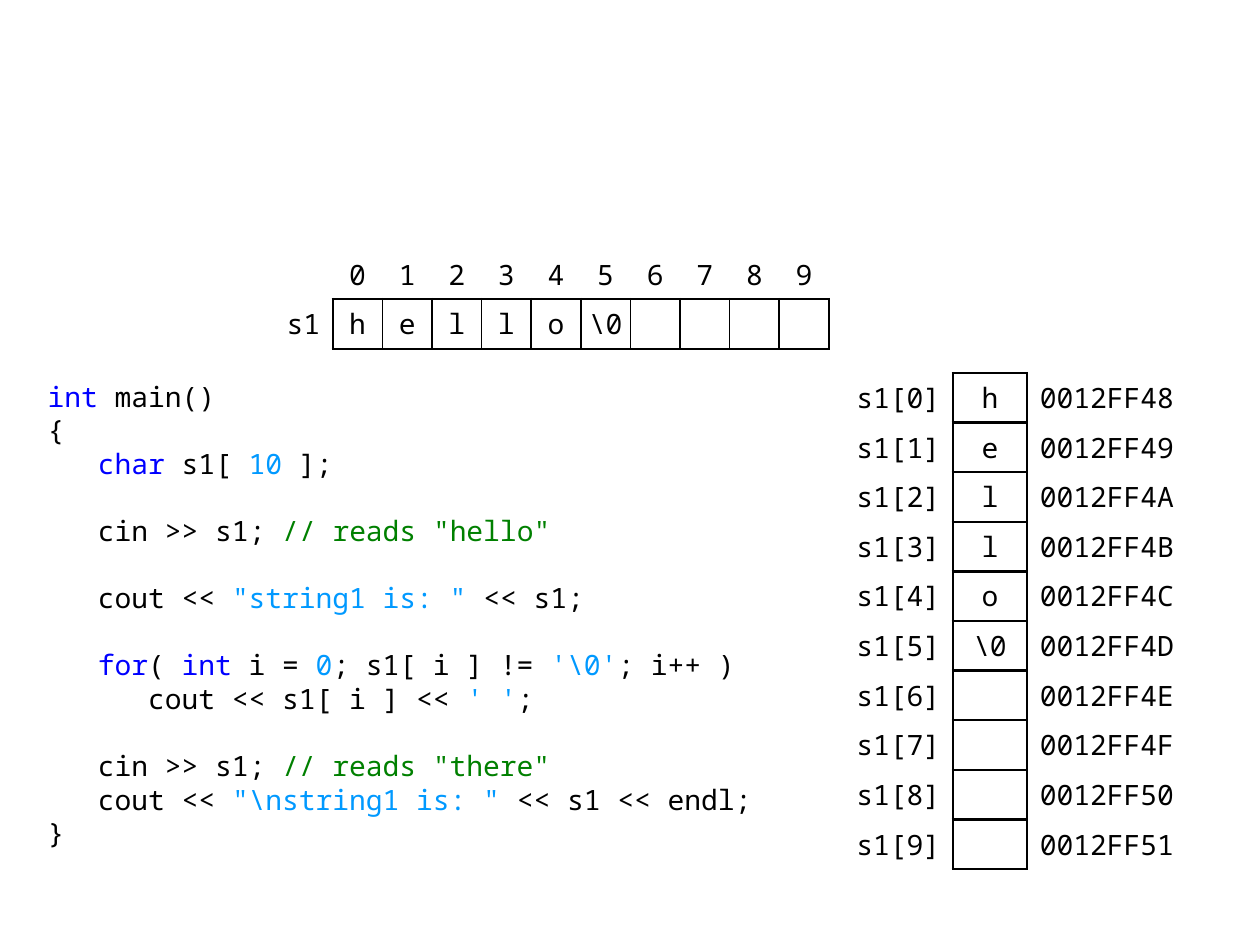
from lxml import etree
from pptx import Presentation
from pptx.dml.color import RGBColor
from pptx.enum.text import MSO_ANCHOR, PP_ALIGN
from pptx.oxml.ns import qn
from pptx.util import Inches, Pt

LEFT, MID, RIGHT = PP_ALIGN.LEFT, PP_ALIGN.CENTER, PP_ALIGN.RIGHT
CENTER = MSO_ANCHOR.MIDDLE
FONT, SIZE = "Noto Sans Mono", 16
BLACK, WHITE = "000000", "FFFFFF"
BLUE, SKY, GREEN = "0000FF", "0099FF", "008000"
UNIT = 3.94 / 10
THICK, THIN = 1.5, 1
CHARS = ["h", "e", "l", "l", "o", r"\0", "", "", "", ""]
BASE = 0x12FF48

CODE = [
    [("int", BLUE), (" main()", BLACK)],
    [("{", BLACK)],
    [("   ", BLACK), ("char", BLUE), (" s1[ ", BLACK), ("10", SKY), (" ];", BLACK)],
    [("  ", BLACK)],
    [("   cin >> s1;", BLACK), (' // reads "hello"', GREEN)],
    [("  ", BLACK)],
    [("   cout << ", BLACK), ('"string1 is: "', SKY), (" << s1;", BLACK)],
    [("  ", BLACK)],
    [("   ", BLACK), ("for", BLUE), ("( ", BLACK), ("int", BLUE), (" i = ", BLACK),
     ("0", SKY), ("; s1[ i ] != ", BLACK), (r"'\0'", SKY), ("; i++ )", BLACK)],
    [("      cout << s1[ i ] << ", BLACK), ("' '", SKY), (";", BLACK)],
    [("  ", BLACK)],
    [("   cin >> s1; ", BLACK), ('// reads "there"', GREEN)],
    [("   cout << ", BLACK), (r'"\nstring1 is: " ', SKY), ("<< s1 << endl;", BLACK)],
    [("}", BLACK)],
]


def color(text):
    return RGBColor.from_string(text)


def style(run, tint=BLACK):
    run.font.name = FONT
    run.font.size = Pt(SIZE)
    run.font.color.rgb = color(tint)


def edge(cell, sides):
    props = cell._tc.get_or_add_tcPr()
    for side in "LRTB":
        line = etree.SubElement(props, qn("a:ln" + side))
        if side in sides:
            line.set("w", str(Pt(sides[side])))
            fill = etree.SubElement(line, qn("a:solidFill"))
            etree.SubElement(fill, qn("a:srgbClr"), val=BLACK)
        else:
            line.set("w", "0")
            etree.SubElement(line, qn("a:noFill"))


def put(cell, text, align, sides, fill=None, pad=0.1):
    edge(cell, sides)
    if fill:
        cell.fill.solid()
        cell.fill.fore_color.rgb = color(fill)
    else:
        cell.fill.background()
    cell.margin_left = cell.margin_right = Inches(pad)
    cell.margin_top = cell.margin_bottom = 0
    cell.vertical_anchor = CENTER
    para = cell.text_frame.paragraphs[0]
    para.text = text
    para.alignment = align
    for run in para.runs:
        style(run)


def grid(slide, left, top, rows, widths):
    width = sum(widths) * UNIT
    shape = slide.shapes.add_table(rows, len(widths), Inches(left), Inches(top),
                                   Inches(width), Inches(rows * UNIT))
    table = shape.table
    table.first_row = table.horz_banding = False
    for col, units in zip(table.columns, widths):
        col.width = Inches(units * UNIT)
    return table


def code(slide, left, top, width, height):
    box = slide.shapes.add_textbox(Inches(left), Inches(top), Inches(width), Inches(height))
    frame = box.text_frame
    frame.word_wrap = True
    for i, line in enumerate(CODE):
        para = frame.paragraphs[0] if i == 0 else frame.add_paragraph()
        for text, tint in line:
            run = para.add_run()
            run.text = text
            style(run, tint)


def memory(slide, left, top):
    table = grid(slide, left, top, len(CHARS), [3, 1.5, 3.5])
    for i, char in enumerate(CHARS):
        put(table.cell(i, 0), f"s1[{i}]", RIGHT, {"R": THICK})
        put(table.cell(i, 1), char, MID, dict.fromkeys("LRTB", THICK), WHITE)
        put(table.cell(i, 2), f"{BASE + i:08X}", LEFT, {"L": THICK}, WHITE)


def array(slide, left, top):
    table = grid(slide, left, top, 2, [1.5] + [1] * len(CHARS))
    put(table.cell(0, 0), "", LEFT, {})
    put(table.cell(1, 0), "s1", RIGHT, {"R": THICK})
    last = len(CHARS) - 1
    for i, char in enumerate(CHARS):
        put(table.cell(0, i + 1), str(i), MID, {"B": THICK})
        sides = {"L": THIN if i else THICK, "R": THIN if i < last else THICK,
                 "T": THICK, "B": THICK}
        put(table.cell(1, i + 1), char, MID, sides, pad=0)


def main():
    deck = Presentation()
    deck.slide_width, deck.slide_height = Inches(10), Inches(7.5)
    slide = deck.slides.add_slide(deck.slide_layouts[6])
    code(slide, 0.28, 2.96, 5.91, 3.94)
    memory(slide, 6.38, 2.96)
    array(slide, 2.05, 1.98)
    deck.save("out.pptx")


if __name__ == "__main__":
    main()
